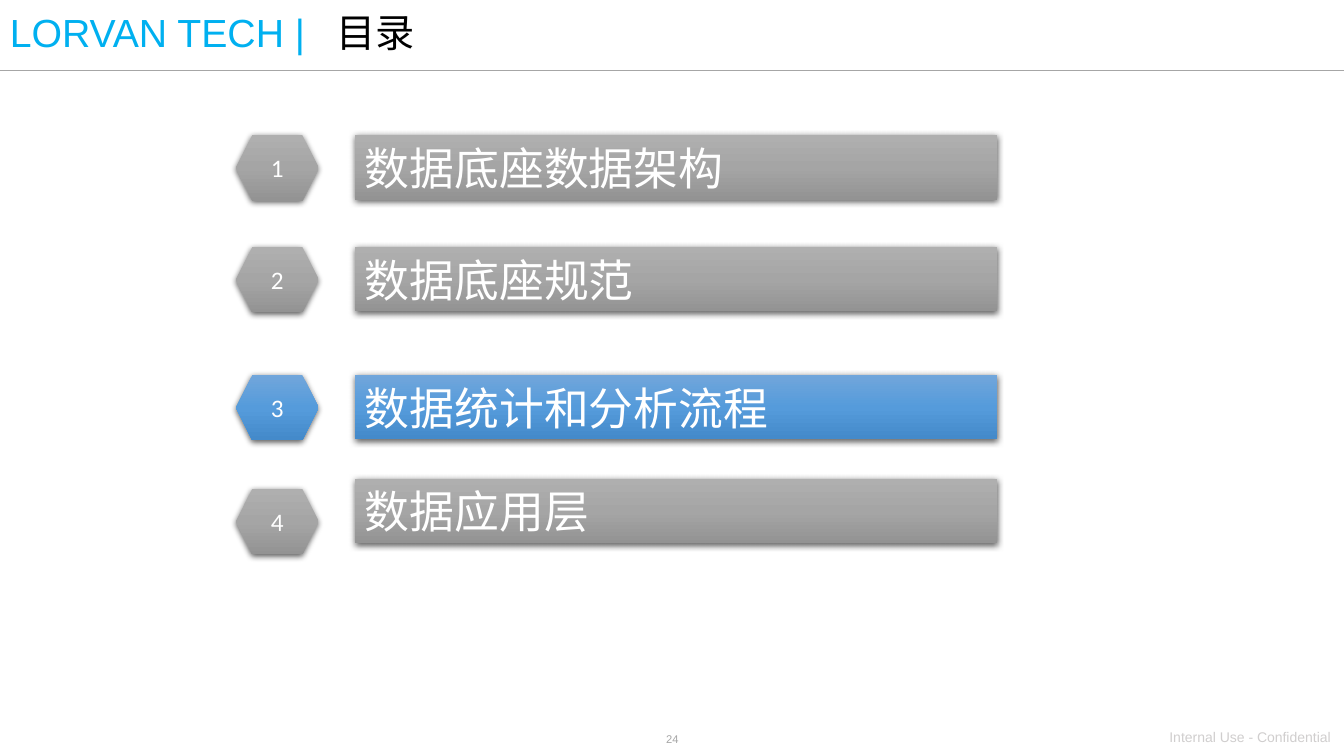
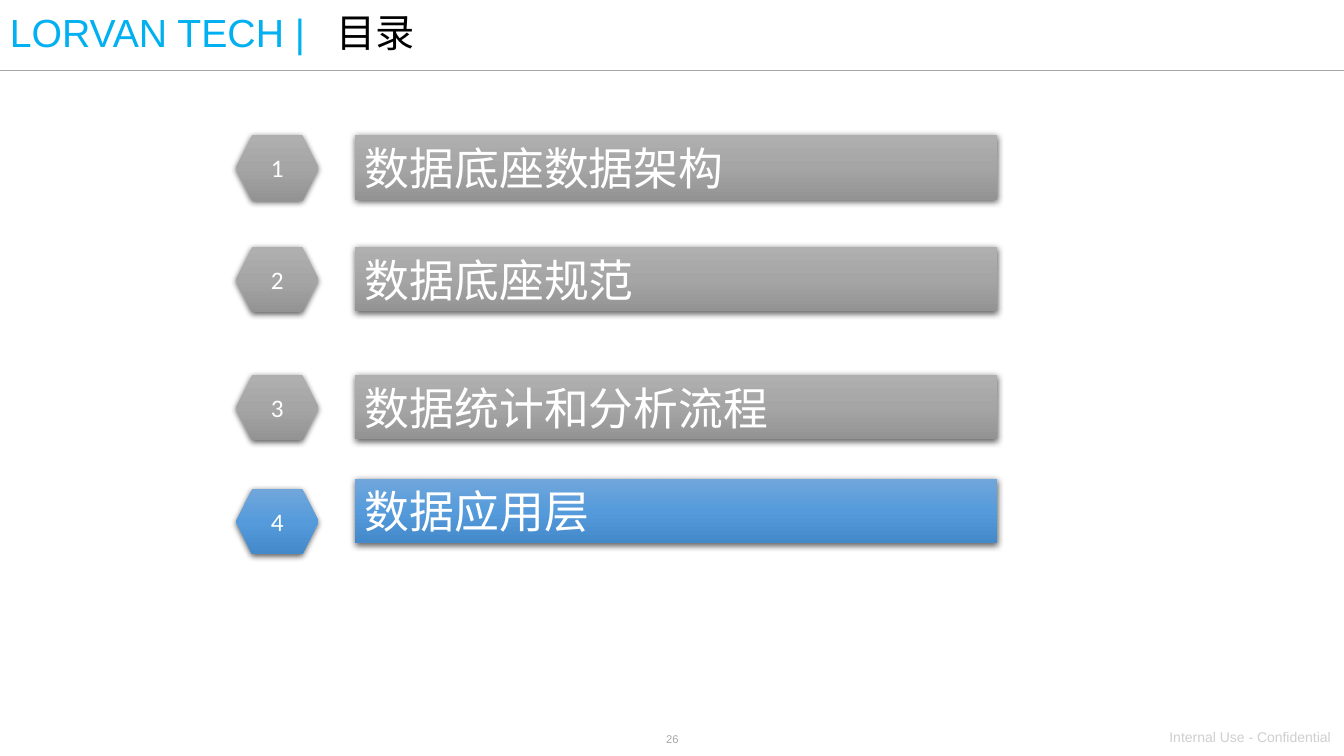
import pptx
import pptx.dml.color
import pptx.enum.shapes
import pptx.enum.text
import pptx.oxml
import pptx.oxml.ns
import pptx.util

SHAPE = pptx.enum.shapes.MSO_SHAPE
ALIGN = pptx.enum.text.PP_ALIGN
ANCHOR = pptx.enum.text.MSO_ANCHOR

# Shared geometry (100 px to the inch), fonts and colours
PX = 9144
SLIDE_W, SLIDE_H = 1333, 750
LATIN, NUMERAL, CJK = "Arial", "Calibri", "Noto Sans CJK SC"
WHITE, BLACK, CYAN = "FFFFFF", "000000", "00B0F0"
RULE_GREY, FOOTER_GREY = "A6A6A6", "D0CECE"
GREY_STOPS = ("AFAFAF", "A5A5A5", "939393")
BLUE_STOPS = ("71A6DB", "559BDB", "448ACA")

# Agenda entries: text, hexagon top, bar top
AGENDA = [
    ("数据底座数据架构", 134, 134),
    ("数据底座规范", 245, 245),
    ("数据统计和分析流程", 372, 372),
    ("数据应用层", 485, 475),
]
HEX_X, HEX_W, HEX_H = 234, 82, 65
BAR_X, BAR_W, BAR_H = 352, 637, 64


def px(*lengths):
    return [pptx.util.Emu(n * PX) for n in lengths]


def rgb(value):
    return pptx.dml.color.RGBColor.from_string(value)


def xml(tag, attrs="", inner=""):
    ns = pptx.oxml.ns.nsdecls("a")
    return pptx.oxml.parse_xml(f"<a:{tag} {ns} {attrs}>{inner}</a:{tag}>")


def add_run(p, text, size, font, color):
    r = p.add_run()
    r.text = text
    r.font.size = pptx.util.Pt(size)
    r.font.name = font
    r.font.color.rgb = rgb(color)
    if font == CJK:
        r.font._element.append(xml("ea", f'typeface="{font}"'))


def add_text(slide, box, align=ALIGN.LEFT, anchor=ANCHOR.TOP, wrap=True):
    """Add a text box and return its first paragraph."""
    tf = slide.shapes.add_textbox(*px(*box)).text_frame
    tf.word_wrap = wrap
    tf.vertical_anchor = anchor
    p = tf.paragraphs[0]
    p.alignment = align
    return p


def add_glossy_shape(slide, kind, box, stops, align):
    """Add a shape with a vertical gradient and a soft shadow; return its paragraph."""
    sp = slide.shapes.add_shape(kind, *px(*box))
    sp.line.fill.background()
    sp.fill.gradient()
    sp.fill.gradient_angle = 270
    spPr = sp._element.spPr
    gs_list = spPr.find(".//" + pptx.oxml.ns.qn("a:gsLst"))
    gs_list[:] = [
        xml("gs", f'pos="{i * 50000}"', f'<a:srgbClr val="{stop}"/>')
        for i, stop in enumerate(stops)
    ]
    sp.shadow.inherit = False
    spPr.find(pptx.oxml.ns.qn("a:effectLst")).append(xml(
        "outerShdw",
        'blurRad="57150" dist="19050" dir="5400000" algn="ctr" rotWithShape="0"',
        f'<a:srgbClr val="{BLACK}"><a:alpha val="63000"/></a:srgbClr>',
    ))
    tf = sp.text_frame
    tf.word_wrap = True
    tf.margin_top = tf.margin_bottom = 0
    tf.vertical_anchor = ANCHOR.MIDDLE
    p = tf.paragraphs[0]
    p.alignment = align
    return p


def add_frame(slide, page):
    # Rule under the title
    rule = slide.shapes.add_connector(
        pptx.enum.shapes.MSO_CONNECTOR.STRAIGHT, *px(0, 70, SLIDE_W, 70))
    rule.line.color.rgb = rgb(RULE_GREY)
    rule.line.width = pptx.util.Pt(1)
    rule._element.spPr.append(xml("effectLst"))

    # Footer
    p = add_text(slide, (579, 722, 176, 24), ALIGN.CENTER)
    add_run(p, str(page), 8, LATIN, RULE_GREY)
    p = add_text(slide, (1150, 718, 184, 27), wrap=False)
    add_run(p, "Internal Use - Confidential", 10, LATIN, FOOTER_GREY)


def add_title(slide, text):
    p = add_text(slide, (0, 0, 1150, 69), anchor=ANCHOR.MIDDLE)
    p.line_spacing = 0.9
    p._p.get_or_add_pPr().append(
        xml("tabLst", inner=f'<a:tab pos="{324 * PX}" algn="l"/>'))
    add_run(p, "LORVAN TECH |\t", 28, LATIN, CYAN)
    add_run(p, text, 28, CJK, BLACK)


def add_agenda(slide, current):
    for number, (text, hex_y, bar_y) in enumerate(AGENDA, 1):
        stops = BLUE_STOPS if number == current else GREY_STOPS
        p = add_glossy_shape(slide, SHAPE.HEXAGON, (HEX_X, hex_y, HEX_W, HEX_H),
                             stops, ALIGN.CENTER)
        add_run(p, str(number), 18, NUMERAL, WHITE)
        p = add_glossy_shape(slide, SHAPE.RECTANGLE, (BAR_X, bar_y, BAR_W, BAR_H),
                             stops, ALIGN.LEFT)
        add_run(p, text, 32, CJK, WHITE)


def main():
    prs = pptx.Presentation()
    prs.slide_width, prs.slide_height = px(SLIDE_W, SLIDE_H)
    for page, current in ((24, 3), (26, 4)):
        slide = prs.slides.add_slide(prs.slide_layouts[6])
        add_frame(slide, page)
        add_title(slide, "目录")
        add_agenda(slide, current)
    prs.save("out.pptx")


if __name__ == "__main__":
    main()
